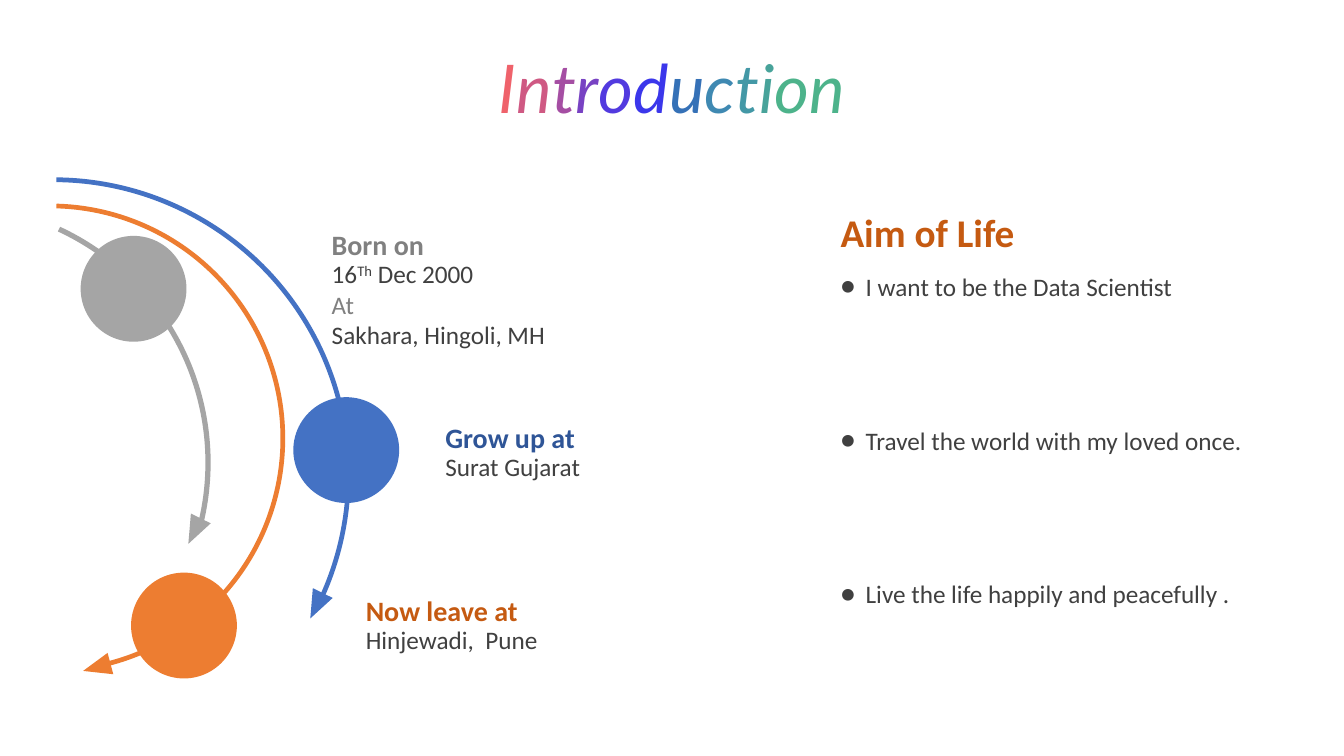
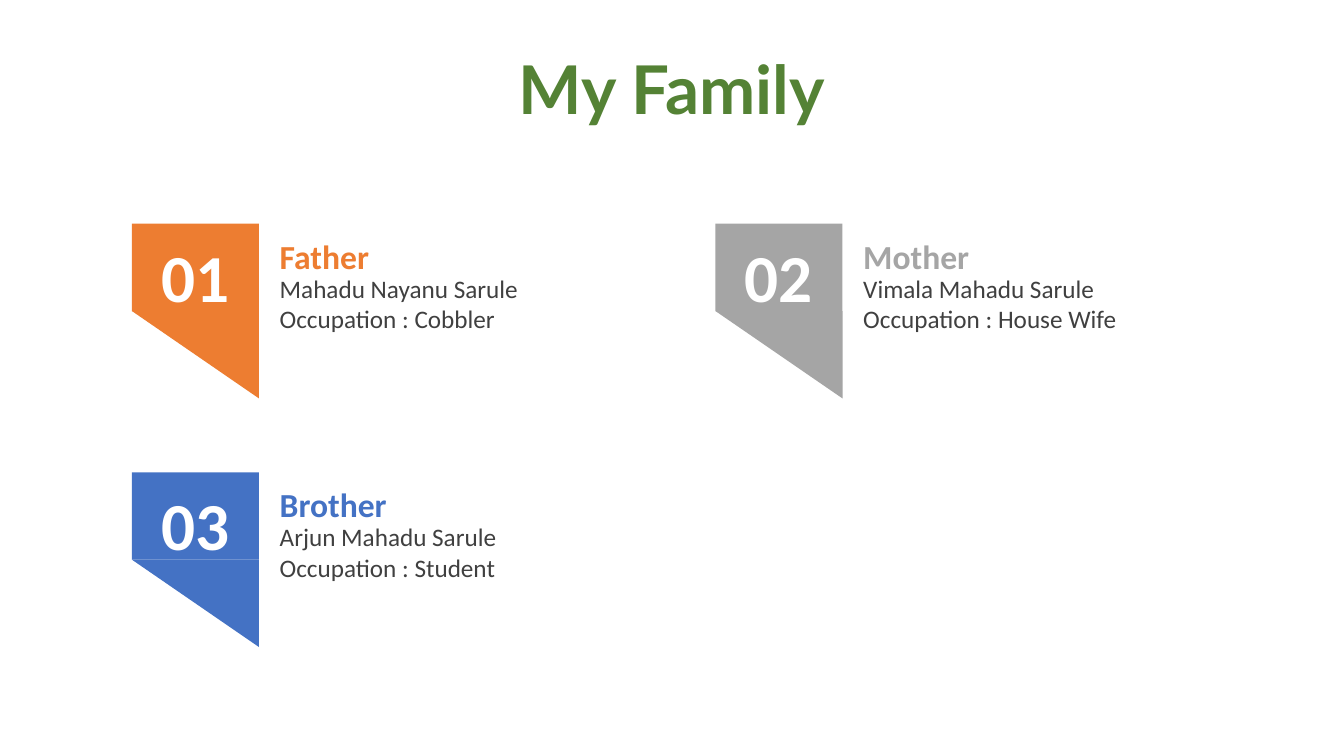
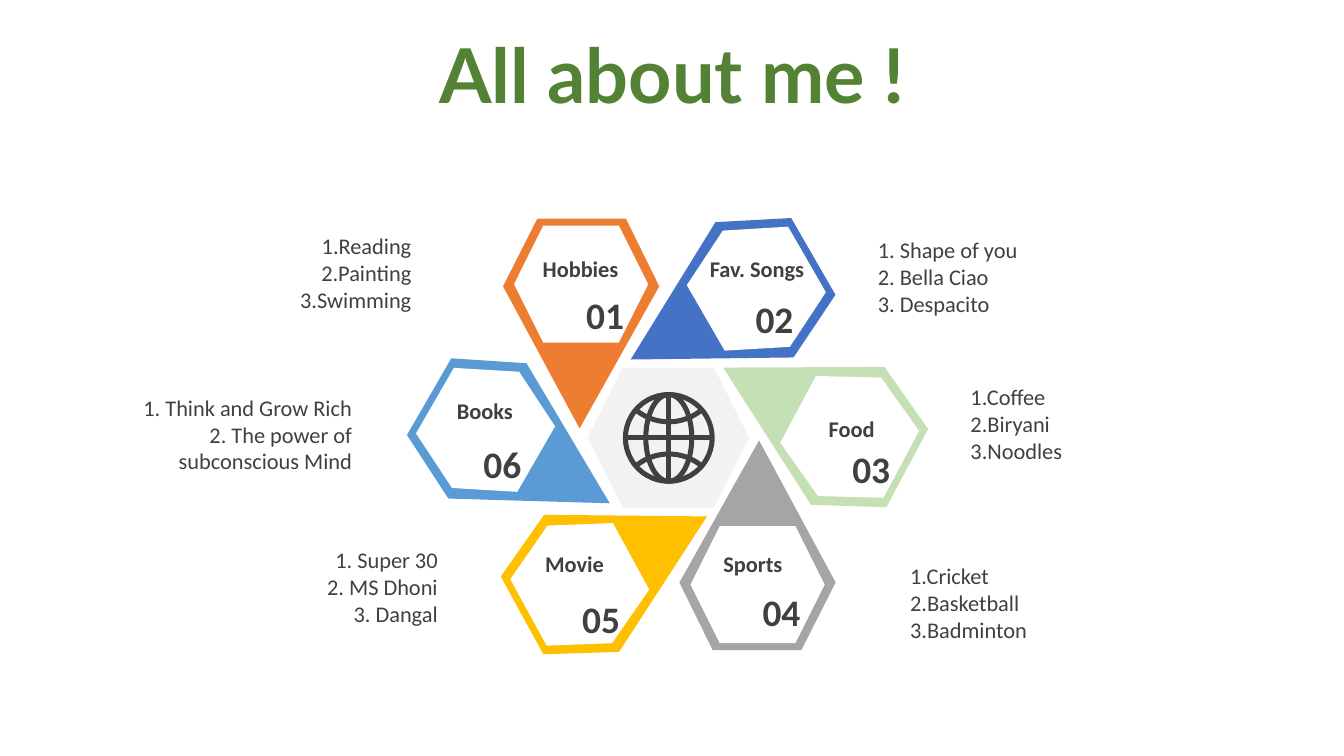
from math import cos, radians, sin

from lxml import etree
from pptx import Presentation
from pptx.dml.color import RGBColor
from pptx.enum.shapes import MSO_CONNECTOR, MSO_SHAPE
from pptx.enum.text import MSO_ANCHOR, MSO_AUTO_SIZE, PP_ALIGN
from pptx.oxml.ns import qn
from pptx.util import Pt

# Enum members
LEFT, CENTER, RIGHT = PP_ALIGN.LEFT, PP_ALIGN.CENTER, PP_ALIGN.RIGHT
MIDDLE = MSO_ANCHOR.MIDDLE
NO_FIT, GROW = MSO_AUTO_SIZE.NONE, MSO_AUTO_SIZE.SHAPE_TO_FIT_TEXT
STRAIGHT = MSO_CONNECTOR.STRAIGHT
RECTANGLE, TRIANGLE = MSO_SHAPE.RECTANGLE, MSO_SHAPE.ISOSCELES_TRIANGLE
OVAL, HEXAGON = MSO_SHAPE.OVAL, MSO_SHAPE.HEXAGON
ARC, BLOCK_ARC = MSO_SHAPE.ARC, MSO_SHAPE.BLOCK_ARC

# Colours
WHITE = RGBColor(0xFF, 0xFF, 0xFF)
PALE = RGBColor(0xF2, 0xF2, 0xF2)
DARK = RGBColor(0x40, 0x40, 0x40)
MID_GRAY = RGBColor(0x80, 0x80, 0x80)
GRAY = RGBColor(0xA5, 0xA5, 0xA5)
ORANGE = RGBColor(0xED, 0x7D, 0x31)
RUST = RGBColor(0xC5, 0x5A, 0x11)
BLUE = RGBColor(0x44, 0x72, 0xC4)
NAVY = RGBColor(0x2F, 0x55, 0x97)
SKY = RGBColor(0x5B, 0x9B, 0xD5)
GOLD = RGBColor(0xFF, 0xC0, 0x00)
MINT = RGBColor(0xC5, 0xE0, 0xB4)
GREEN = RGBColor(0x54, 0x82, 0x35)
RAINBOW = [RGBColor.from_string(code) for code in (
    "EF626B", "CF5983", "A54EA3", "7842C3", "523ADF", "3B37EB",
    "3571B7", "3F89B2", "4398A6", "48A39A", "4DB38B")]

TITLE_FONT, BODY_FONT = "Lato", "Calibri"
PAGE_WIDTH, PAGE_HEIGHT = 960, 540
TITLE_HEIGHT = 60.5
ANGLE_UNIT = 0.6  # adjustment value of one degree
DOT, ARROW_WIDTH, ARROW_HEIGHT = 75.6, 15.8, 20.2
PETAL_WIDTH, PETAL_HEIGHT = 111.6, 149.8
PETAL_OUTLINE = [(87.1, PETAL_HEIGHT), (23.8, PETAL_HEIGHT), (0, 101.5),
                 (56.9, 0), (PETAL_WIDTH, 101.5)]
WINDOW_WIDTH, WINDOW_HEIGHT, WINDOW_SHIFT = 95.8, 83.5, 28.1
GLOBE_LINE = 3.6


def write(para, text, *, size=18, color=DARK, bold=False, italic=False,
          font=BODY_FONT, baseline=None):
    span = para.add_run()
    span.text = text
    span.font.size = Pt(size)
    span.font.name = font
    span.font.bold = bold
    span.font.italic = italic
    span.font.color.rgb = color
    if baseline:
        span.font._element.set("baseline", str(baseline))


def add_bullet(para, mark):
    properties = para._p.get_or_add_pPr()
    properties.set("marL", str(Pt(18)))
    properties.set("indent", str(-Pt(18)))
    etree.SubElement(properties, qn("a:buFont")).set("typeface", BODY_FONT)
    etree.SubElement(properties, qn("a:buChar")).set("char", mark)


def add_text(page, left, top, width, height, lines, *, align=LEFT, wrap=True,
             bullet=None, **style):
    """Each line is a string or a list of (text, style changes)."""
    box = page.shapes.add_textbox(Pt(left), Pt(top), Pt(width), Pt(height))
    frame = box.text_frame
    frame.word_wrap = wrap
    frame.auto_size = GROW
    for index, line in enumerate(lines):
        para = frame.paragraphs[0] if index == 0 else frame.add_paragraph()
        para.alignment = align
        if bullet:
            add_bullet(para, bullet)
        spans = [(line, {})] if isinstance(line, str) else line
        for text, changes in spans:
            write(para, text, **{**style, **changes})


def paint(shape, color, rotation=0):
    shape.shadow.inherit = False
    shape.fill.solid()
    shape.fill.fore_color.rgb = color
    shape.line.fill.background()
    shape.rotation = rotation


def add_centered(page, kind, x, y, width, height, adjustments=()):
    shape = page.shapes.add_shape(kind, Pt(x - width / 2), Pt(y - height / 2),
                                  Pt(width), Pt(height))
    for index, value in enumerate(adjustments):
        shape.adjustments[index] = value
    return shape


def add_page(deck, top, spans, **style):
    """New slide whose title is made of (text, colour) spans."""
    page = deck.slides.add_slide(deck.slide_layouts[5])
    title = page.shapes.title
    title.left, title.top = Pt(0), Pt(top)
    title.width, title.height = Pt(PAGE_WIDTH), Pt(TITLE_HEIGHT)
    frame = title.text_frame
    frame.auto_size = NO_FIT
    frame.word_wrap = True
    frame.vertical_anchor = MIDDLE
    para = frame.paragraphs[0]
    para.alignment = CENTER
    para.line_spacing = 0.9
    para.space_before = Pt(10)
    for text, color in spans:
        write(para, text, color=color, font=TITLE_FONT, **style)
    return page


# Slide 1: life path and aims
def add_path(page, x, y, size, color, start, end, thickness, dot, arrow, turn):
    """Curved arrow around (x, y), with its dot and head offset from there."""
    arc = add_centered(page, BLOCK_ARC, x, y, size, size,
                       (start * ANGLE_UNIT, end * ANGLE_UNIT, thickness))
    paint(arc, color)
    paint(add_centered(page, OVAL, x + dot[0], y + dot[1], DOT, DOT), color)
    head = add_centered(page, TRIANGLE, x + arrow[0], y + arrow[1],
                        ARROW_WIDTH, ARROW_HEIGHT)
    paint(head, color, turn)


def add_milestone(page, left, top, heading, color, details):
    add_text(page, left, top + 22.2, 257, 28.8, details)
    add_text(page, left, top, 257, 31.7, [heading], size=20, color=color,
             bold=True)


def add_aims(page, left, top, heading, aims):
    add_text(page, left, top, 294.5, 41, [heading], size=28, color=RUST,
             bold=True)
    for index, aim in enumerate(aims):
        add_text(page, left, top + 45.2 + 109.8 * index, 309.6, 28.8, [aim],
                 bullet="●")


def build_introduction(deck):
    letters = [*"Introducti", "on"]
    page = add_page(deck, 35.3, zip(letters, RAINBOW), size=48, italic=True)
    add_path(page, 36, 313.2, 335.5, ORANGE, 271.51, 76.28, 0.01,
             (95.4, 133.6), (33.1, 163.4), 255)
    add_path(page, 38.2, 339.1, 424.8, BLUE, 270.55, 23.84, 0.008,
             (209.1, -17.6), (187.9, 93.6), 206.2)
    add_path(page, -35.3, 330.5, 371.5, GRAY, 294.91, 14.16, 0.01,
             (130.7, -124.2), (174.3, 48.9), 206.2)
    birth = [[("16", {}), ("Th", {"baseline": 30000}), (" Dec 2000", {})],
             [("At", {"color": MID_GRAY})],
             "Sakhara, Hingoli, MH"]
    add_milestone(page, 229.9, 159, "Born on", MID_GRAY, birth)
    add_milestone(page, 311, 296.9, "Grow up at", NAVY, ["Surat Gujarat"])
    add_milestone(page, 254.2, 420.4, "Now leave at", RUST,
                  ["Hinjewadi,  Pune"])
    add_aims(page, 593.3, 145, "Aim of Life",
             ["I want to be the Data Scientist",
              "Travel the world with my loved once.",
              "Live the life happily and peacefully ."])


# Slide 2: family cards
def add_card(page, left, top, number, color, relation, details):
    width, height = 90.7, 62.4
    flag = page.shapes.add_shape(RECTANGLE, Pt(left), Pt(top), Pt(width),
                                 Pt(height))
    paint(flag, color)
    tip = page.shapes.add_shape(TRIANGLE, Pt(left), Pt(top + height),
                                Pt(width), Pt(height))
    tip.adjustments[0] = 0
    paint(tip, color, 180)
    add_text(page, left + 98.4, top + 31.7, 279.4, 51, details)
    add_text(page, left + 98.4, top + 5, 279.4, 36, [relation], size=24,
             color=color, bold=True)
    add_text(page, left + 8.2, top + 4.5, 74.2, 65.5, [number], size=48,
             color=WHITE, bold=True, align=CENTER)


def build_family(deck):
    page = add_page(deck, 36, [("My Family", GREEN)], size=48, bold=True)
    members = [
        (ORANGE, "Father", "Mahadu Nayanu Sarule", "Cobbler"),
        (GRAY, "Mother", "Vimala Mahadu Sarule", "House Wife"),
        (BLUE, "Brother", "Arjun Mahadu Sarule", "Student")]
    for index, (color, relation, name, work) in enumerate(members):
        row, column = divmod(index, 2)
        add_card(page, 94.3 + 416.8 * column, 159.8 + 177.6 * row,
                 f"{index + 1:02}", color, relation,
                 [name, f"Occupation : {work}"])


# Slide 3: flower of favourites
def add_petal(page, x, y, turn, color):
    left, top = x - PETAL_WIDTH / 2, y - PETAL_HEIGHT / 2
    points = [(Pt(left + dx), Pt(top + dy)) for dx, dy in PETAL_OUTLINE]
    builder = page.shapes.build_freeform(*points[0])
    builder.add_line_segments(points[1:], close=True)
    paint(builder.convert_to_shape(), color, turn)
    angle = radians(turn)
    window = add_centered(page, HEXAGON, x - WINDOW_SHIFT * sin(angle),
                          y + WINDOW_SHIFT * cos(angle),
                          WINDOW_WIDTH, WINDOW_HEIGHT)
    paint(window, WHITE, (turn + 180) % 360)


def add_globe(page, x, y, radius):
    """Globe of outlines: rim, meridian, two parallels and two axes."""
    curve, shift, half_angle = 36.7, 48.2, 37.5
    outlines = [(OVAL, y, radius, radius, ()),
                (OVAL, y, radius * 0.53, radius, ())]
    for side, facing in ((-1, 90), (1, 270)):
        # Arc angles run from -180 to 180 degrees
        angles = [(facing + offset + 180) % 360 - 180
                  for offset in (-half_angle, half_angle)]
        outlines.append((ARC, y + side * shift, curve, curve, angles))
    lines = []
    for kind, middle, half_width, half_height, angles in outlines:
        shape = add_centered(page, kind, x, middle, 2 * half_width,
                             2 * half_height)
        for index, angle in enumerate(angles):
            shape.adjustments[index] = angle % 360 * ANGLE_UNIT
        shape.shadow.inherit = False
        shape.fill.background()
        lines.append(shape.line)
    for dx, dy in ((radius, 0), (0, radius)):
        axis = page.shapes.add_connector(STRAIGHT, Pt(x - dx), Pt(y - dy),
                                         Pt(x + dx), Pt(y + dy))
        etree.SubElement(axis._element.spPr, qn("a:effectLst"))
        lines.append(axis.line)
    for line in lines:
        line.color.rgb = DARK
        line.width = Pt(GLOBE_LINE)


def add_topic(page, x, y, turn, color, number, label, items, number_at,
              label_at, items_at):
    """Petal around (x, y); its texts are offset from there."""
    add_petal(page, x, y, turn, color)
    add_text(page, x + number_at[0], y + number_at[1], 41.8, 39.6, [number],
             size=26.7, bold=True, align=RIGHT, wrap=False)
    add_text(page, x + label_at[0], y + label_at[1], 102.2, 26.6, [label],
             size=16, bold=True, align=CENTER)
    add_text(page, x + items_at[0], y + items_at[1], 202.3, 65.5, items,
             size=16, align=RIGHT if items_at[0] < 0 else LEFT)


def build_favourites(deck):
    page = add_page(deck, 26.4, [("All about me !", GREEN)], size=54,
                    bold=True)
    paint(add_centered(page, HEXAGON, 477.4, 312.6, 115.2, 100), PALE)
    add_globe(page, 477.7, 312.8, 31)
    topics = [
        (415.1, 231.1, 180, ORANGE, "Hobbies",
         ["1.Reading", "2.Painting", "3.Swimming"],
         (-4, -25.9), (-51.5, -52.5), (-316.5, -68.7)),
        (515.9, 220.3, 240, BLUE, "Fav. Songs",
         ["1. Shape of you", "2. Bella Ciao", "3. Despacito"],
         (16.2, -12.2), (-26.3, -41.7), (104, -55)),
        (582.1, 298.8, 298.1, MINT, "Food",
         ["1.Coffee", "2.Biryani", "3.Noodles"],
         (19.1, 16.6), (-24.8, -5.8), (104, -28.4)),
        (541.1, 389.5, 0, GRAY, "Sports",
         ["1.Cricket", "2.Basketball", "3.Badminton"],
         (-4, 28.1), (-54.4, 0), (101.9, 8.7)),
        (438.8, 403.9, 61.3, GOLD, "Movie",
         ["1. Super 30", "2. MS Dhoni", "3. Dangal"],
         (-30.6, 18.7), (-79.5, -14.4), (-321.4, -17.3)),
        (371.2, 321.1, 120, SKY, "Books",
         ["1. Think and Grow Rich", "2. The power of subconscious Mind"],
         (-33.5, -9.3), (-76, -41), (-315, -43.4))]
    for index, (x, y, turn, color, label, items, *offsets) in enumerate(topics):
        add_topic(page, x, y, turn, color, f"{index + 1:02}", label, items,
                  *offsets)


def main():
    deck = Presentation()
    deck.slide_width, deck.slide_height = Pt(PAGE_WIDTH), Pt(PAGE_HEIGHT)
    build_introduction(deck)
    build_family(deck)
    build_favourites(deck)
    deck.save("out.pptx")


if __name__ == "__main__":
    main()
